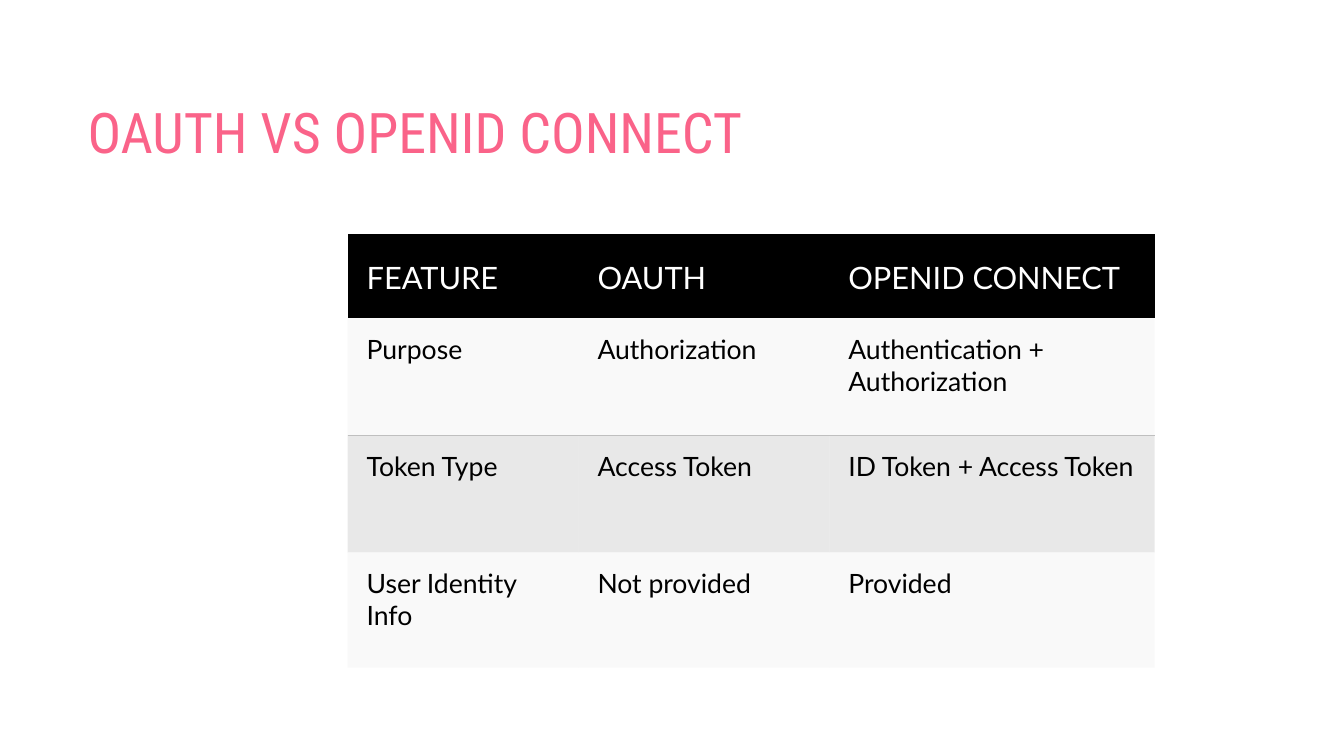
import pptx
import pptx.dml.color
import pptx.enum.text
import pptx.oxml
import pptx.oxml.ns
import pptx.util
from pptx.dml.color import RGBColor
from pptx.util import Cm, Pt

TITLE = "OAUTH VS OPENID CONNECT"
ROWS = [
    ("FEATURE", "OAUTH", "OPENID CONNECT"),
    ("Purpose", "Authorization", "Authentication + Authorization"),
    ("Token Type", "Access Token", "ID Token + Access Token"),
    ("User Identity Info", "Not provided", "Provided"),
]
COLUMN_WIDTHS = (5.82, 6.32, 8.2)
ROW_HEIGHTS = (2.13, 2.95, 2.95, 2.9)
RULE_AFTER_ROW = 1

PINK = RGBColor(0xFA, 0x63, 0x89)
BLACK = RGBColor(0, 0, 0)
WHITE = RGBColor(0xFF, 0xFF, 0xFF)
LIGHT = RGBColor(0xF2, 0xF2, 0xF2)
GREY = RGBColor(0xBF, 0xBF, 0xBF)
# Fill colour and opacity in percent, row by row
ROW_FILLS = ((BLACK, 100), (LIGHT, 45), (GREY, 35), (LIGHT, 45))


def add_text(para, text, font, size, colour):
    span = para.add_run()
    span.text = text
    span.font.name = font
    span.font.size = Pt(size)
    span.font.color.rgb = colour


def fill_cell(cell, colour, opacity):
    cell.fill.solid()
    cell.fill.fore_color.rgb = colour
    if opacity < 100:
        tint = cell._tc.tcPr.find(".//" + pptx.oxml.ns.qn("a:srgbClr"))
        tint.append(pptx.oxml.parse_xml(
            f'<a:alpha {pptx.oxml.ns.nsdecls("a")} val="{opacity * 1000}"/>'))


def set_borders(cell, ruled_sides):
    """Draw a grey rule on the given sides (L, R, T, B) and clear the others."""
    for place, side in enumerate("LRTB"):
        paint = "<a:noFill/>"
        if side in ruled_sides:
            paint = f'<a:solidFill><a:srgbClr val="{GREY}"/></a:solidFill>'
        cell._tc.tcPr.insert(place, pptx.oxml.parse_xml(
            f'<a:ln{side} {pptx.oxml.ns.nsdecls("a")} w="{Pt(1)}">{paint}</a:ln{side}>'))


def add_title(page):
    box = page.shapes.add_textbox(Cm(0.69), Cm(1.63), Cm(19.53), Cm(2.59))
    frame = box.text_frame
    frame.word_wrap = True
    frame.vertical_anchor = pptx.enum.text.MSO_ANCHOR.BOTTOM
    frame.margin_bottom = Cm(0.07)
    para = frame.paragraphs[0]
    para.alignment = pptx.enum.text.PP_ALIGN.CENTER
    para.space_after = Pt(6)
    add_text(para, TITLE, "Roboto Condensed", 40, PINK)


def add_comparison(page):
    table = page.shapes.add_table(
        len(ROWS), len(COLUMN_WIDTHS), Cm(8.76), Cm(5.89),
        Cm(sum(COLUMN_WIDTHS)), Cm(sum(ROW_HEIGHTS))).table
    table.first_row = table.horz_banding = False
    for column, width in zip(table.columns, COLUMN_WIDTHS):
        column.width = Cm(width)
    for row, height in zip(table.rows, ROW_HEIGHTS):
        row.height = Cm(height)

    for r, texts in enumerate(ROWS):
        header = r == 0
        ruled_sides = {RULE_AFTER_ROW: "B", RULE_AFTER_ROW + 1: "T"}.get(r, "")
        for c, text in enumerate(texts):
            cell = table.cell(r, c)
            cell.margin_left, cell.margin_top = Cm(0.48), Cm(0.38)
            cell.margin_right, cell.margin_bottom = Cm(0.33), Cm(0.28)
            anchors = pptx.enum.text.MSO_ANCHOR
            cell.vertical_anchor = anchors.MIDDLE if header else anchors.TOP
            fill_cell(cell, *ROW_FILLS[r])
            set_borders(cell, ruled_sides)
            add_text(cell.text_frame.paragraphs[0], text, "Lato",
                     22 if header else 19, WHITE if header else BLACK)


def main():
    deck = pptx.Presentation()
    deck.slide_width, deck.slide_height = Cm(33.87), Cm(19.05)
    page = deck.slides.add_slide(deck.slide_layouts[6])
    add_title(page)
    add_comparison(page)
    deck.save("out.pptx")


if __name__ == "__main__":
    main()
